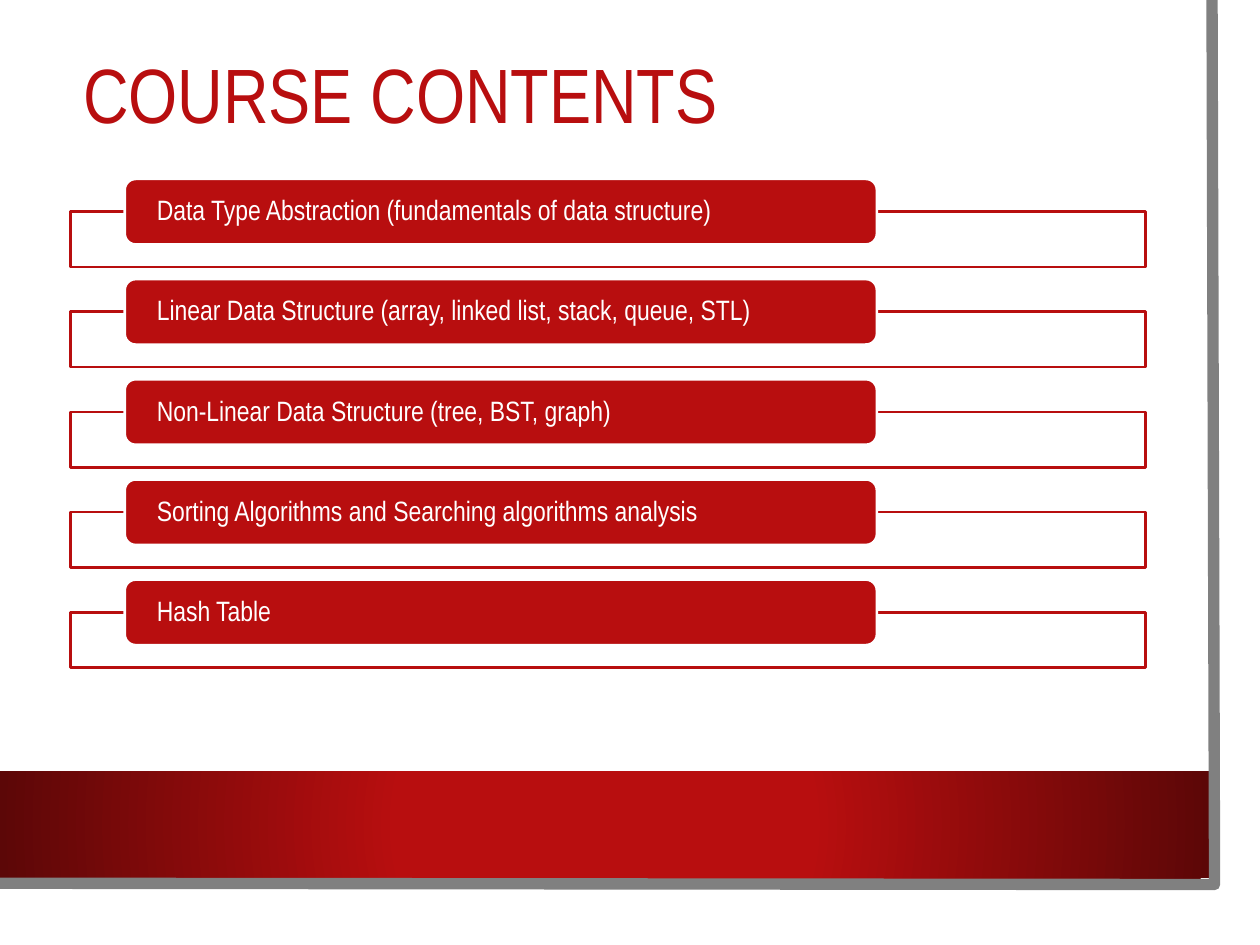
from pptx import Presentation
from pptx.dml.color import RGBColor
from pptx.enum.shapes import MSO_SHAPE as Shape
from pptx.enum.text import MSO_ANCHOR as Anchor, MSO_AUTO_SIZE as AutoSize, PP_ALIGN as Align
from pptx.oxml import parse_xml
from pptx.oxml.ns import nsdecls, qn
from pptx.util import Inches, Pt
from lxml.etree import SubElement

COLORS = {"red": "B80E0F", "dark": "5C0707", "gray": "808080", "white": "FFFFFF"}
TOPICS = [
    "Data Type Abstraction (fundamentals of data structure)",
    "Linear Data Structure (array, linked list, stack, queue, STL)",
    "Non-Linear Data Structure (tree, BST, graph)",
    "Sorting Algorithms and Searching algorithms analysis",
    "Hash Table",
]
FIRST_TOP, PITCH = 1.42, 0.795


class SlideBuilder:
    """Hold the slide style and draw each kind of element."""

    font = "Arial Narrow"

    def __init__(self, slide):
        self.slide = slide

    def color(self, name):
        return RGBColor.from_string(COLORS[name])

    def set_text(self, shape, text, size, color, inset=None):
        frame = shape.text_frame
        frame.text = text
        layout = {"word_wrap": True, "auto_size": AutoSize.NONE, "vertical_anchor": Anchor.MIDDLE}
        if inset is not None:
            layout |= {"margin_left": Inches(inset), "margin_right": Inches(inset),
                       "margin_top": 0, "margin_bottom": 0}
        paragraph = frame.paragraphs[0]
        font = paragraph.runs[0].font
        formats = [
            (frame, layout),
            (paragraph, {"alignment": Align.LEFT, "line_spacing": 0.9, "space_before": Pt(0)}),
            (font, {"name": self.font, "size": Pt(size)}),
        ]
        for target, values in formats:
            for name, value in values.items():
                setattr(target, name, value)
        font.color.rgb = self.color(color)

    def title(self, text, box):
        heading = self.slide.shapes.title
        for name, value in zip(("left", "top", "width", "height"), box):
            setattr(heading, name, Inches(value))
        self.set_text(heading, text, 44, "red")
        heading.element.getparent().append(heading.element)

    def outline(self, shape, color, width):
        shape.shadow.inherit = False
        if color:
            shape.line.color.rgb = self.color(color)
            shape.line.width = Pt(width)
        else:
            shape.line.fill.background()

    def box(self, kind, box, fill, line=None, alpha=None):
        shape = self.slide.shapes.add_shape(kind, *map(Inches, box))
        shape.fill.solid()
        shape.fill.fore_color.rgb = self.color(fill)
        if alpha:
            swatch = shape.element.spPr.find(qn("a:solidFill"))[0]
            SubElement(swatch, qn("a:alpha")).set("val", str(alpha * 1000))
        self.outline(shape, line, 1.5)
        return shape

    def gradient_band(self, box, inner, outer):
        band = self.box(Shape.RECTANGLE, box, inner)
        solid = band.element.spPr.find(qn("a:solidFill"))
        stops = "".join(
            f'<a:gs pos="{percent * 1000}"><a:srgbClr val="{COLORS[name]}"/></a:gs>'
            for percent, name in ((34, inner), (100, outer))
        )
        gradient = parse_xml(
            f'<a:gradFill {nsdecls("a")} rotWithShape="1"><a:gsLst>{stops}</a:gsLst>'
            '<a:path path="circle"><a:fillToRect l="50000" t="50000" r="50000" b="50000"/></a:path>'
            '</a:gradFill>'
        )
        solid.getparent().replace(solid, gradient)

    def open_path(self, points, color, width):
        start, *rest = [(Inches(x), Inches(y)) for x, y in points]
        builder = self.slide.shapes.build_freeform(*start)
        builder.add_line_segments(rest, close=False)
        edge = builder.convert_to_shape()
        edge.fill.background()
        self.outline(edge, color, width)

    def topic(self, text, top):
        self.box(Shape.RECTANGLE, (0.56, top + 0.26, 8.53, 0.44), "white", "red", alpha=90)
        label = self.box(Shape.ROUNDED_RECTANGLE, (0.99, top, 5.97, 0.52), "red", "white")
        self.set_text(label, text, 16, "white", inset=0.23)


def main():
    deck = Presentation()
    deck.slide_width, deck.slide_height = Inches(10), Inches(7.5)
    builder = SlideBuilder(deck.slides.add_slide(deck.slide_layouts[5]))
    builder.box(Shape.RECTANGLE, (0, 0, 9.83, 7.27), "white")
    builder.gradient_band((0, 6.12, 9.6, 0.85), "red", "dark")
    builder.open_path([(9.62, 0), (9.64, 7.02), (-0.02, 7.01)], "gray", 6.5)
    builder.title("COURSE CONTENTS", (0.56, 0.35, 8.53, 0.87))
    for index, text in enumerate(TOPICS):
        builder.topic(text, FIRST_TOP + index * PITCH)
    deck.save("out.pptx")


if __name__ == "__main__":
    main()
